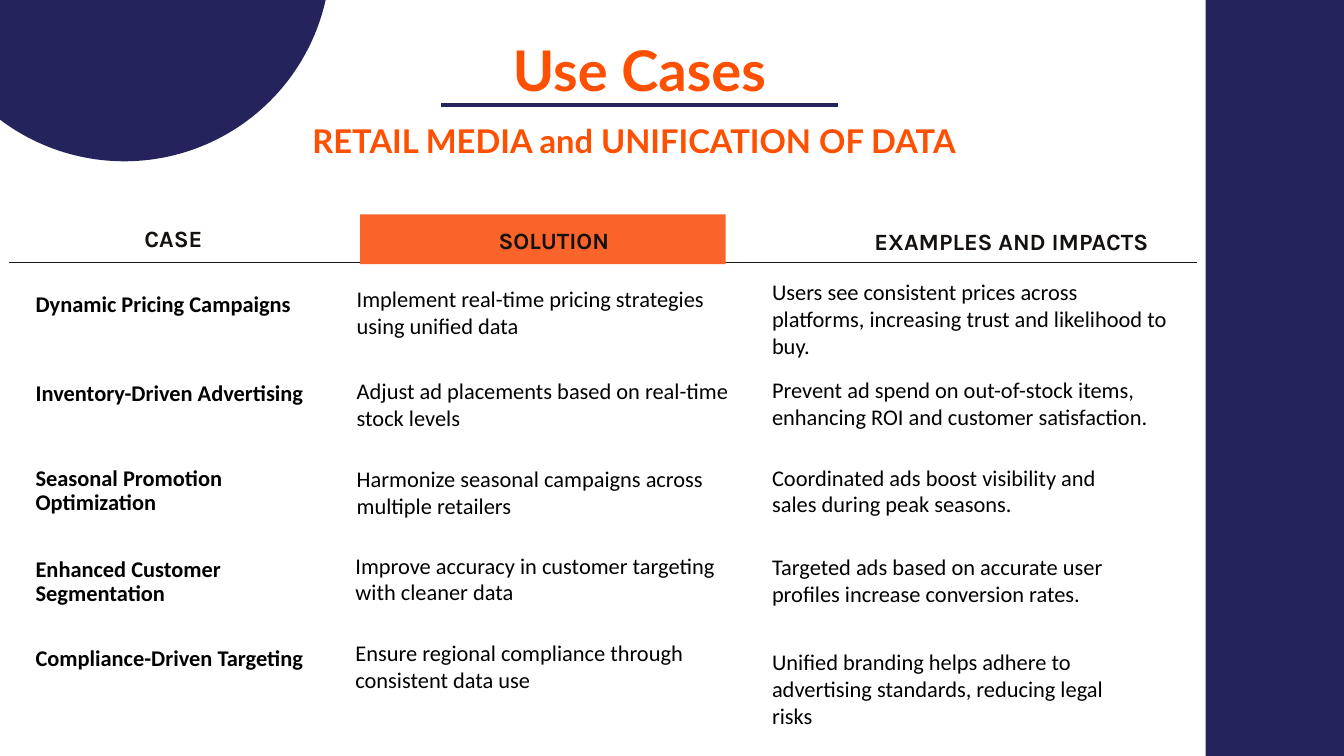
from lxml.etree import SubElement
from pptx import Presentation
from pptx.dml.color import RGBColor
from pptx.enum.shapes import MSO_CONNECTOR, MSO_SHAPE
from pptx.enum.text import MSO_ANCHOR, MSO_AUTO_SIZE, PP_ALIGN
from pptx.oxml.ns import qn
from pptx.util import Pt

PX = 9144
COLORS = {
    "navy": "25235B",
    "title": "FF4F01",
    "header_fill": "FA632A",
    "header_text": "14110F",
    "rule": "191919",
    "body": "000000",
}


def px(*lengths):
    return [length * PX for length in lengths]


def write(box, text, font, size, color, bold=True, spacing=None, align=PP_ALIGN.LEFT, inset=(0, 0)):
    frame = box.text_frame
    frame.word_wrap = True
    frame.auto_size = MSO_AUTO_SIZE.NONE
    frame.vertical_anchor = MSO_ANCHOR.TOP
    frame.margin_left = frame.margin_right = inset[0] * PX
    frame.margin_top = frame.margin_bottom = inset[1] * PX
    frame.text = text
    paragraph = frame.paragraphs[0]
    paragraph.alignment = align
    if spacing:
        paragraph.line_spacing = Pt(spacing)
    span = paragraph.runs[0]
    span.font.name = font
    span.font.size = Pt(size)
    span.font.bold = bold
    span.font.color.rgb = RGBColor.from_string(COLORS[color])


deck = Presentation()
deck.slide_width, deck.slide_height = px(2000, 1125)
page = deck.slides.add_slide(deck.slide_layouts[5])
shapes = page.shapes

title = shapes.title
title.left, title.top, title.width, title.height = px(715, 44, 473, 108)
write(title, "Use Cases", "Lato", 60, "title", spacing=78.8, align=PP_ALIGN.CENTER)

for start, end, y, color, weight in [
    (656, 1247, 156, "navy", 4.75),
    (14, 1782, 391, "rule", 0.75),
]:
    line = shapes.add_connector(MSO_CONNECTOR.STRAIGHT, *px(start, y, end, y))
    line.line.color.rgb = RGBColor.from_string(COLORS[color])
    line.line.width = Pt(weight)
    SubElement(line._element.spPr, qn("a:effectLst"))

for kind, area, color in [
    (MSO_SHAPE.RECTANGLE, (1794, -94, 211, 1308), "navy"),
    (MSO_SHAPE.OVAL, (-122, -374, 614, 614), "navy"),
    (MSO_SHAPE.RECTANGLE, (536, 319, 544, 74), "header_fill"),
]:
    shape = shapes.add_shape(kind, *px(*area))
    shape.shadow.inherit = False
    shape.fill.solid()
    shape.fill.fore_color.rgb = RGBColor.from_string(COLORS[color])
    shape.line.fill.background()

subtitle = shapes.add_textbox(*px(418, 159, 1052, 75))
write(subtitle, "RETAIL MEDIA and UNIFICATION OF DATA", "Lato", 35, "title",
      spacing=57.2, align=PP_ALIGN.CENTER)

for text, left, top, width, align in [
    ("CASE", 53, 330, 410, PP_ALIGN.CENTER),
    ("SOLUTION", 742, 333, 166, PP_ALIGN.LEFT),
    ("EXAMPLES AND IMPACTS", 1300, 335, 410, PP_ALIGN.CENTER),
]:
    header = shapes.add_textbox(*px(left, top, width, 44))
    write(header, text, "Karla", 25, "header_text", spacing=32.5, align=align)

cases = [
    ("Dynamic Pricing Campaigns", 436, 36),
    ("Inventory-Driven Advertising", 568, 36),
    ("Seasonal Promotion Optimization", 694, 73),
    ("Enhanced Customer Segmentation", 830, 73),
    ("Compliance-Driven Targeting", 962, 36),
]
for text, top, height in cases:
    case = shapes.add_textbox(*px(53, top, 410, height))
    write(case, text, "Calibri", 24, "body", spacing=26)

solutions = [
    ("Implement real-time pricing strategies using unified data", 521, 419, 606, 91),
    ("Adjust ad placements based on real-time stock levels", 521, 556, 606, 91),
    ("Harmonize seasonal campaigns across multiple retailers", 521, 687, 606, 91),
    ("Improve accuracy in customer targeting with cleaner data", 519, 816, 609, 91),
    ("Ensure regional compliance through consistent data use", 519, 946, 609, 91),
]
impacts = [
    ("Users see consistent prices across platforms, increasing trust and likelihood to buy.",
     1139, 409, 607, 131),
    ("Prevent ad spend on out-of-stock items, enhancing ROI and customer satisfaction.",
     1139, 555, 590, 91),
    ("Coordinated ads boost visibility and sales during peak seasons.", 1139, 685, 571, 91),
    ("Targeted ads based on accurate user profiles increase conversion rates.",
     1139, 818, 606, 91),
    ("Unified branding helps adhere to advertising standards, reducing legal risks",
     1139, 960, 571, 131),
]
for text, *area in solutions + impacts:
    detail = shapes.add_textbox(*px(*area))
    write(detail, text, "Calibri", 24, "body", bold=False, inset=(10, 5))

deck.save("out.pptx")
